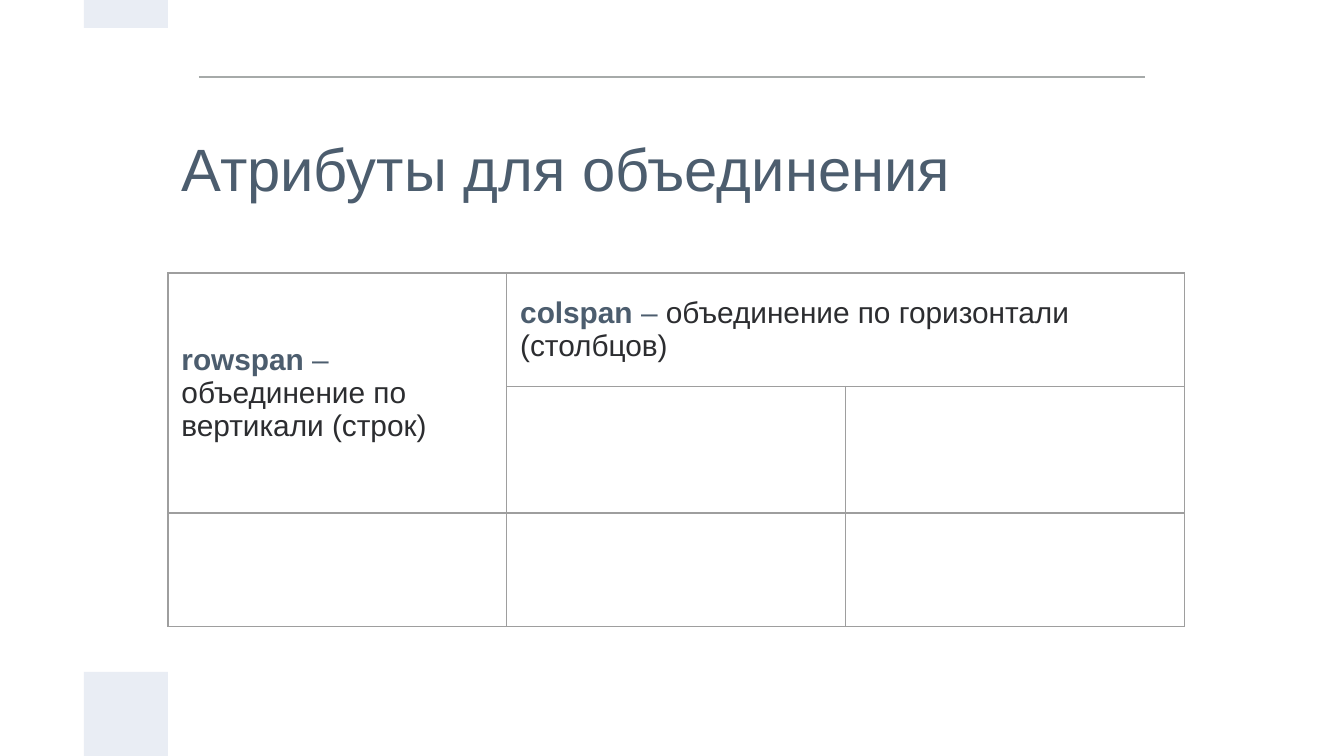
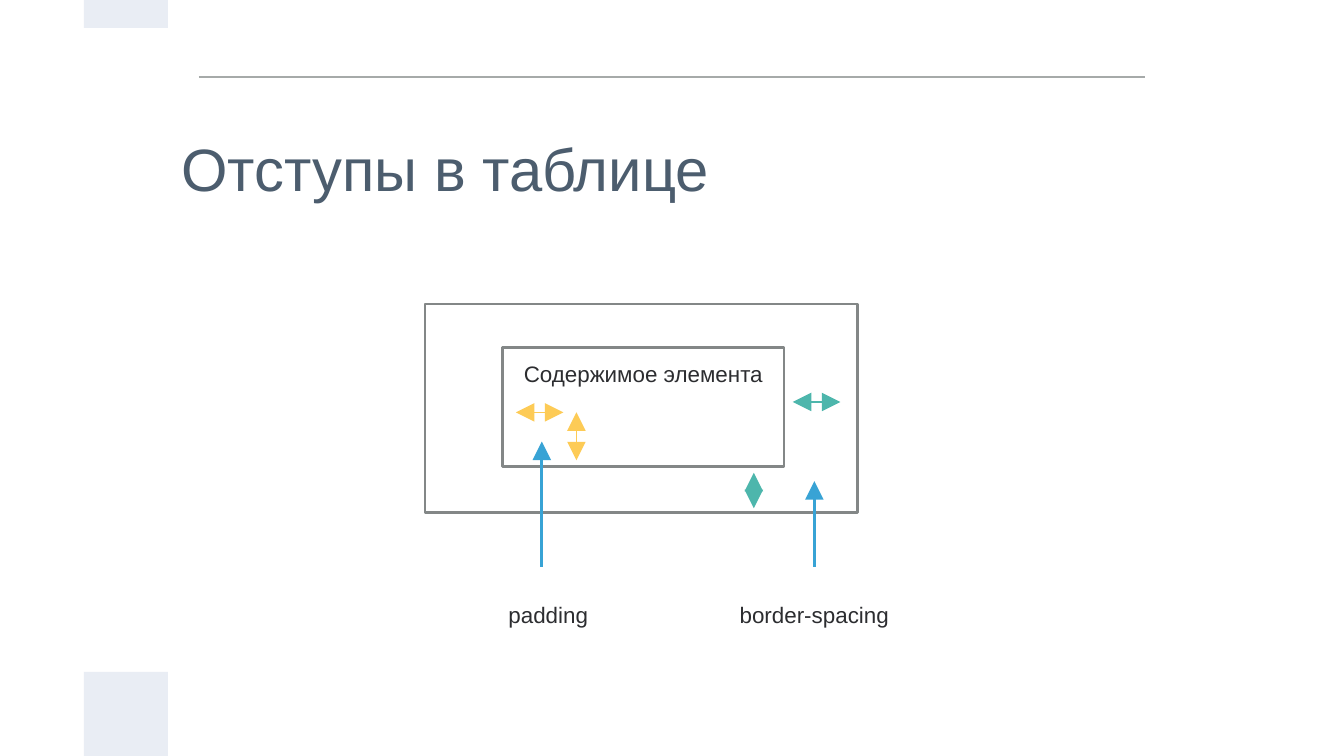
from dataclasses import dataclass
from itertools import product

from lxml.etree import SubElement
from pptx import Presentation
from pptx.dml.color import RGBColor as RGB
from pptx.enum.shapes import MSO_CONNECTOR as LINE, MSO_SHAPE as SHAPE
from pptx.enum.text import MSO_ANCHOR as ANCHOR, MSO_AUTO_SIZE as FIT, PP_ALIGN as ALIGN
from pptx.oxml.ns import qn
from pptx.util import Inches, Pt

COLS, ROWS = 16, 9


@dataclass(frozen=True)
class Theme:
    """Colours, type sizes and line widths of the deck."""
    font: str = "Arial"
    accent: str = "4C5D6E"
    text: str = "2C2D30"
    band: str = "E9EDF4"
    rule: str = "A6AAA9"
    grid: str = "9E9E9E"
    frame: str = "838787"
    pointer: str = "38A3D5"
    spacing: str = "4DB6AC"
    padding: str = "FDCB56"
    title: int = 32
    body: int = 16
    label: int = 12
    thin: float = 0.75
    thick: float = 1.5
    inset: float = 0.1


T = Theme()


@dataclass(frozen=True)
class Box:
    """A rectangle in EMU whose contents are placed by shares of its size."""
    x: int
    y: int
    w: int
    h: int

    def point(self, fx, fy):
        """Return the point at the given shares of the box."""
        return round(self.x + fx * self.w), round(self.y + fy * self.h)

    def inner(self, fx, fy, fw, fh):
        """Return the inner box at the given shares."""
        return Box(*self.point(fx, fy), round(fw * self.w), round(fh * self.h))

    def cells(self, col, row, cols, rows):
        """Return the inner box at the given columns and rows of the grid."""
        return self.inner(col / COLS, row / ROWS, cols / COLS, rows / ROWS)

    def bounds(self):
        """Return left, top, width and height."""
        return self.x, self.y, self.w, self.h


def add_run(p, text, size, color, bold=False):
    """Append one formatted run to a paragraph."""
    r = p.add_run()
    r.text = text
    r.font.name, r.font.size, r.font.bold = T.font, Pt(size), bold
    r.font.color.rgb = RGB.from_string(color)


def set_insets(target):
    """Give a text frame or table cell equal insets and middle anchoring."""
    target.margin_left = target.margin_right = Inches(T.inset)
    target.margin_top = target.margin_bottom = Inches(T.inset)
    target.vertical_anchor = ANCHOR.MIDDLE


def add_rect(shapes, box, fill=None, line=None):
    """Add a rectangle with an optional fill and outline."""
    sp = shapes.add_shape(SHAPE.RECTANGLE, *box.bounds())
    sp.shadow.inherit = False
    if fill:
        sp.fill.solid()
        sp.fill.fore_color.rgb = RGB.from_string(fill)
    else:
        sp.fill.background()
    if line:
        sp.line.color.rgb = RGB.from_string(line)
        sp.line.width = Pt(T.thick)
    else:
        sp.line.fill.background()


def add_line(shapes, start, end, color, width, ends=()):
    """Add a straight line with large triangles at the named ends."""
    cx = shapes.add_connector(LINE.STRAIGHT, *start, *end)
    cx.line.color.rgb = RGB.from_string(color)
    cx.line.width = Pt(width)
    ln = cx._element.spPr.find(qn("a:ln"))
    for name in ends:
        SubElement(ln, qn(f"a:{name}"), type="triangle", w="lg", len="lg")
    SubElement(cx._element.spPr, qn("a:effectLst"))


def add_label(shapes, box, text):
    """Add a centred label."""
    tf = shapes.add_textbox(*box.bounds()).text_frame
    tf.word_wrap = True
    set_insets(tf)
    p = tf.paragraphs[0]
    p.alignment = ALIGN.CENTER
    add_run(p, text, T.label, T.text)


def add_page(prs, page, title):
    """Add a slide with the shared bands, rule and title."""
    s = prs.slides.add_slide(prs.slide_layouts[5])
    add_line(s.shapes, page.point(0.148, 0.102), page.point(0.852, 0.102), T.rule, T.thin)
    for row, rows in ((8, 1), (0, 1 / 3)):
        add_rect(s.shapes, page.cells(1, row, 1, rows), fill=T.band)
    sp = s.shapes.title
    sp.left, sp.top, sp.width, sp.height = page.cells(2, 1, 12, 2).bounds()
    tf = sp.text_frame
    tf.word_wrap, tf.auto_size = True, FIT.NONE
    set_insets(tf)
    p = tf.paragraphs[0]
    p.alignment = ALIGN.LEFT
    add_run(p, title, T.title, T.accent)
    return s


def style_cell(cell):
    """Give a cell clear fill, thin borders and insets."""
    set_insets(cell)
    tcPr = cell._tc.get_or_add_tcPr()
    for side in "LRTB":
        ln = SubElement(tcPr, qn(f"a:ln{side}"), w=str(int(Pt(T.thin))))
        SubElement(SubElement(ln, qn("a:solidFill")), qn("a:srgbClr"), val=T.grid)
    cell.fill.background()


def add_span_table(s, box):
    """Add the table whose merged cells explain the span attributes."""
    heights = (0.33, 0.34, 0.33)
    n = len(heights)
    table = s.shapes.add_table(n, n, *box.bounds()).table
    table.first_row = table.horz_banding = False
    for i, share in enumerate(heights):
        table.columns[i].width = round(box.w / n)
        table.rows[i].height = round(box.h * share)
    for row, col in product(range(n), repeat=2):
        style_cell(table.cell(row, col))
    spans = (
        ((0, 0), (1, 0), "rowspan", " – ", "объединение по вертикали (строк)"),
        ((0, 1), (0, 2), "colspan", " –", " объединение по горизонтали (столбцов)"),
    )
    for first, last, name, dash, meaning in spans:
        cell = table.cell(*first)
        cell.merge(table.cell(*last))
        p = cell.text_frame.paragraphs[0]
        add_run(p, name, T.body, T.accent, bold=True)
        add_run(p, dash, T.body, T.accent)
        add_run(p, meaning, T.body, T.text)


def add_spacing_diagram(s, box):
    """Add the cell diagram with its padding and border-spacing arrows."""
    shapes = s.shapes.add_group_shape().shapes
    for frame in (box, box.inner(0.18, 0.21, 0.65, 0.57)):
        add_rect(shapes, frame, line=T.frame)
    for x, y in ((0.27, 0.66), (0.9, 0.85)):
        add_line(shapes, box.point(x, y), box.point(x, 1.26), T.pointer, T.thick, ["headEnd"])
    gaps = (
        ((0.85, 0.47), (0.96, 0.47), T.spacing),
        ((0.21, 0.52), (0.32, 0.52), T.padding),
        ((0.76, 0.98), (0.76, 0.81), T.spacing),
        ((0.35, 0.75), (0.35, 0.52), T.padding),
    )
    for start, end, color in gaps:
        add_line(shapes, box.point(*start), box.point(*end), color, T.thin, ["headEnd", "tailEnd"])
    labels = (
        ((0.18, 0.25, 0.65, 0.17), "Содержимое элемента"),
        ((0.09, 1.34, 0.39, 0.3), "padding"),
        ((0.66, 1.34, 0.48, 0.3), "border-spacing"),
    )
    for place, text in labels:
        add_label(shapes, box.inner(*place), text)


def main():
    """Build and save the deck."""
    prs = Presentation()
    prs.slide_width, prs.slide_height = Inches(10), Inches(5.625)
    page = Box(0, 0, prs.slide_width, prs.slide_height)
    s = add_page(prs, page, "Атрибуты для объединения")
    add_span_table(s, page.cells(2, 3.25, 12.1, 4.1))
    s = add_page(prs, page, "Отступы в таблице")
    add_spacing_diagram(s, page.cells(5.06, 3.62, 5.15, 2.48))
    prs.save("out.pptx")


if __name__ == "__main__":
    main()
